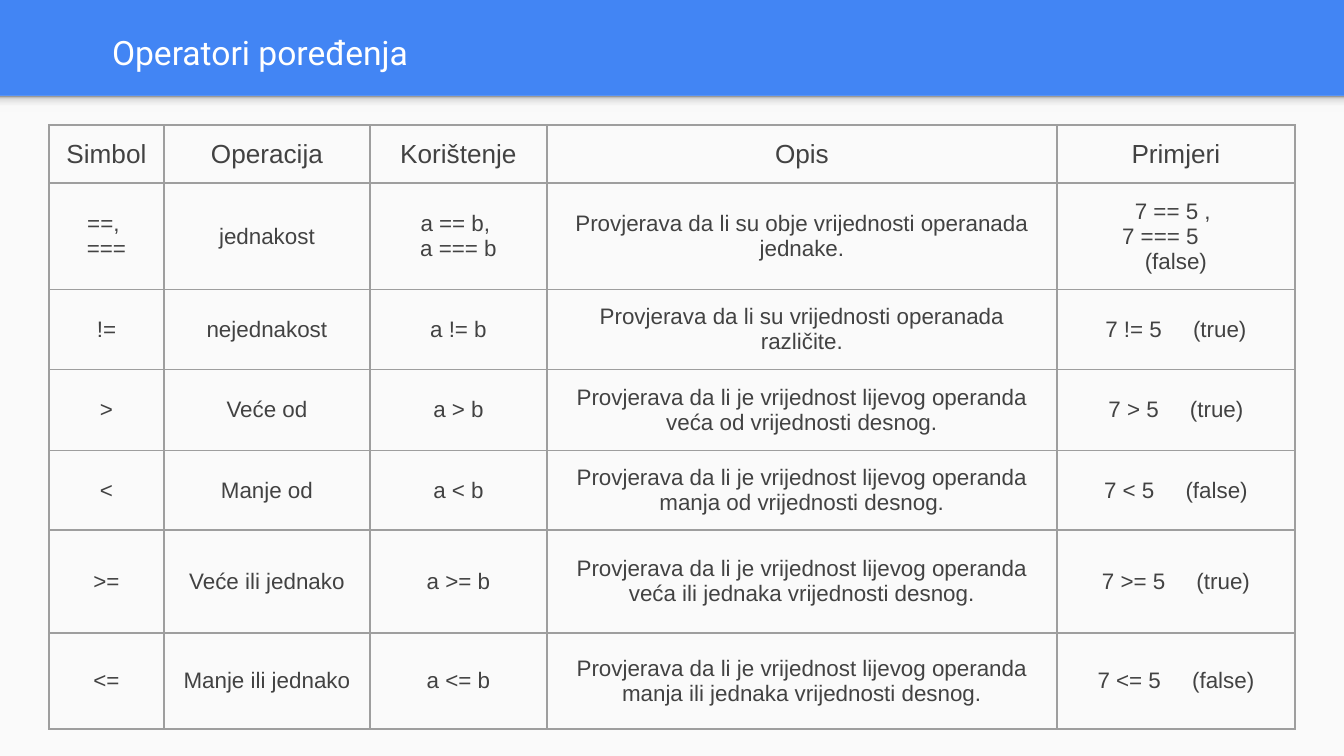
from dataclasses import dataclass

from lxml.etree import SubElement
from pptx import Presentation
from pptx.dml.color import RGBColor
from pptx.enum.shapes import MSO_SHAPE as Shape
from pptx.enum.text import MSO_ANCHOR as Anchor, PP_ALIGN as Align
from pptx.oxml.ns import qn
from pptx.util import Emu, Pt

EMU_PER_PX = 914400 / 134.4
GAP = "|"  # marks a wide space inside a cell


@dataclass(frozen=True)
class Theme:
    header: str = "4285F4"
    panel: str = "FAFAFA"
    title: str = "FFFFFF"
    text: str = "424242"
    border: str = "9E9E9E"
    shadow: tuple = ((0, "F9F9F9"), (36, "F9F9F9"), (80, "DEDEDE"), (100, "999999"))
    title_font: str = "Roboto"
    table_font: str = "Arial"
    title_size: float = 18
    heading_size: float = 14
    body_size: float = 12
    border_width: float = 0.75
    gap_spacing: float = 13.3
    inset: int = 13


def px(length):
    return Emu(round(length * EMU_PER_PX))


class SlideBuilder:
    def __init__(self, slide, theme):
        self.slide = slide
        self.theme = theme

    def background(self, color):
        fill = self.slide.background.fill
        fill.solid()
        fill.fore_color.rgb = RGBColor.from_string(color)

    def rectangle(self, left, top, width, height, color):
        shape = self.slide.shapes.add_shape(
            Shape.RECTANGLE, px(left), px(top), px(width), px(height))
        shape.shadow.inherit = False
        shape.line.fill.background()
        shape.fill.solid()
        shape.fill.fore_color.rgb = RGBColor.from_string(color)
        return shape

    def shadow_strip(self, left, top, width, height):
        """Draw a rectangle that fades upwards through the shadow stops."""
        shape = self.rectangle(left, top, width, height, self.theme.panel)
        shape.fill.gradient()
        gradient = shape.element.spPr.find(qn("a:gradFill"))
        stops = gradient.find(qn("a:gsLst"))
        for stop in list(stops):
            stops.remove(stop)
        for percent, color in self.theme.shadow:
            stop = SubElement(stops, qn("a:gs"), pos=str(percent * 1000))
            SubElement(stop, qn("a:srgbClr"), val=color)
        gradient.find(qn("a:lin")).set("ang", "16200000")

    def style(self, paragraph, font, size, color, align):
        paragraph.alignment = align
        paragraph.font.name = font
        paragraph.font.size = Pt(size)
        paragraph.font.color.rgb = RGBColor.from_string(color)

    def title(self, left, top, width, height, text):
        theme = self.theme
        frame = self.slide.shapes.add_textbox(
            px(left), px(top), px(width), px(height)).text_frame
        frame.word_wrap = True
        frame.vertical_anchor = Anchor.MIDDLE
        frame.margin_left = frame.margin_right = px(theme.inset)
        paragraph = frame.paragraphs[0]
        paragraph.add_run().text = text
        self.style(paragraph, theme.title_font, theme.title_size, theme.title, Align.LEFT)

    def table(self, left, top, widths, heights, rows):
        theme = self.theme
        table = self.slide.shapes.add_table(
            len(rows), len(widths), px(left), px(top),
            px(sum(widths)), px(sum(heights))).table
        table.first_row = table.horz_banding = False
        for column, width in zip(table.columns, widths):
            column.width = px(width)
        for index, (height, texts) in enumerate(zip(heights, rows)):
            table.rows[index].height = px(height)
            size = theme.body_size if index else theme.heading_size
            for column, text in enumerate(texts):
                self.cell(table.cell(index, column), text, size)

    def cell(self, cell, text, size):
        theme = self.theme
        cell.vertical_anchor = Anchor.MIDDLE
        cell.margin_left = cell.margin_right = px(theme.inset)
        cell.margin_top = cell.margin_bottom = px(theme.inset)
        self.cell_borders(cell)
        cell.fill.background()
        paragraph = cell.text_frame.paragraphs[0]
        for number, line in enumerate(text.split("\n")):
            if number:
                paragraph.add_line_break()
            self.spaced_line(paragraph, line)
        self.style(paragraph, theme.table_font, size, theme.text, Align.CENTER)

    def spaced_line(self, paragraph, line):
        """Add the line as runs, with one widened space for each gap mark."""
        before, mark, after = line.partition(GAP)
        paragraph.add_run().text = before
        if mark:
            space = paragraph.add_run()
            space.text = " "
            spacing = round(self.theme.gap_spacing * 100)
            space.font._element.set("spc", str(spacing))
        if after:
            paragraph.add_run().text = after

    def cell_borders(self, cell):
        properties = cell._tc.get_or_add_tcPr()
        for side in ("a:lnL", "a:lnR", "a:lnT", "a:lnB"):
            line = SubElement(properties, qn(side), w=str(Pt(self.theme.border_width)))
            fill = SubElement(line, qn("a:solidFill"))
            SubElement(fill, qn("a:srgbClr"), val=self.theme.border)


COLUMN_WIDTHS = (115, 206, 177, 510, 238)
ROW_HEIGHTS = (58, 102, 77, 81, 78, 103, 96)
LEFT_OPERAND = "Provjerava da li je vrijednost lijevog operanda "
OPERATORS = (
    ("Simbol", "Operacija", "Korištenje", "Opis", "Primjeri"),
    ("==, \n===", "jednakost", "a == b, \na === b",
     "Provjerava da li su obje vrijednosti operanada jednake.",
     "7 == 5 , \n7 === 5|\n(false)"),
    ("!=", "nejednakost", "a != b",
     "Provjerava da li su vrijednosti operanada različite.", "7 != 5|(true)"),
    (">", "Veće od", "a > b",
     LEFT_OPERAND + "veća od vrijednosti desnog.", "7 > 5|(true)"),
    ("<", "Manje od", "a < b",
     LEFT_OPERAND + "manja od vrijednosti desnog.", "7 < 5|(false)"),
    (">=", "Veće ili jednako", "a >= b",
     LEFT_OPERAND + "veća ili jednaka vrijednosti desnog.", "7 >= 5|(true)"),
    ("<=", "Manje ili jednako", "a <= b",
     LEFT_OPERAND + "manja ili jednaka vrijednosti desnog.", "7 <= 5|(false)"),
)


def main():
    presentation = Presentation()
    presentation.slide_width, presentation.slide_height = px(1344), px(756)
    theme = Theme()
    slide = presentation.slides.add_slide(presentation.slide_layouts[6])
    builder = SlideBuilder(slide, theme)
    builder.background(theme.header)
    builder.rectangle(0, 96, 1344, 660, theme.panel)
    builder.shadow_strip(0, 96, 1344, 16)
    builder.title(99, 8, 1245, 89, "Operatori poređenja")
    builder.table(49, 125, COLUMN_WIDTHS, ROW_HEIGHTS, OPERATORS)
    presentation.save("out.pptx")


if __name__ == "__main__":
    main()
